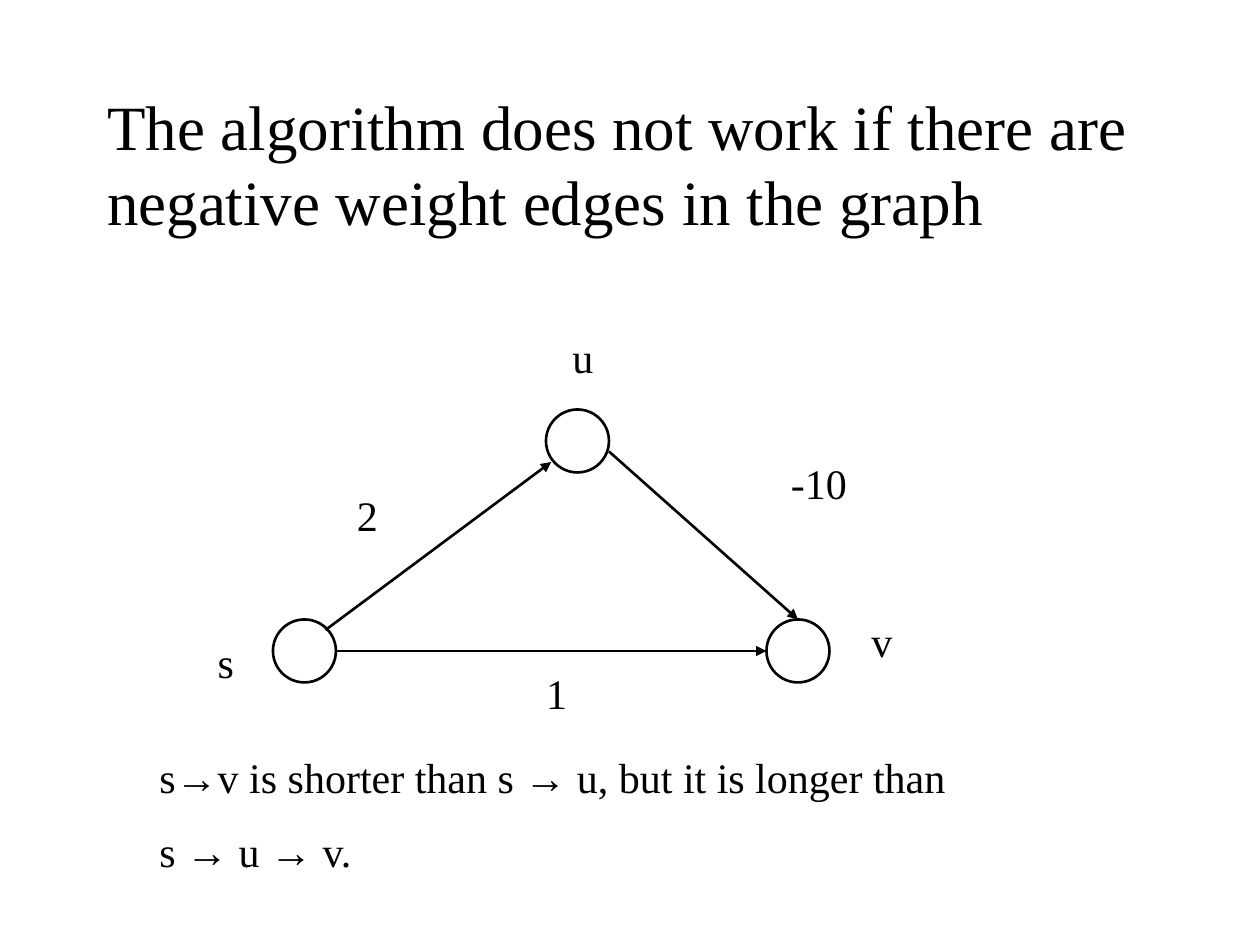
from lxml import etree
from pptx import Presentation
from pptx.dml.color import RGBColor
from pptx.enum.shapes import MSO_CONNECTOR, MSO_SHAPE
from pptx.enum.text import MSO_ANCHOR, MSO_AUTO_SIZE, PP_ALIGN
from pptx.oxml.ns import qn
from pptx.util import Pt

BLACK = RGBColor(0, 0, 0)
WHITE = RGBColor(255, 255, 255)
FONT = "Times New Roman"
OVAL = MSO_SHAPE.OVAL
STRAIGHT = MSO_CONNECTOR.STRAIGHT
MIDDLE = MSO_ANCHOR.MIDDLE
NO_AUTOFIT = MSO_AUTO_SIZE.NONE
GROW = MSO_AUTO_SIZE.SHAPE_TO_FIT_TEXT
LEFT = PP_ALIGN.LEFT
CENTER = PP_ALIGN.CENTER

TITLE = "The algorithm does not work if there are negative weight edges in the graph"
CONCLUSION = "s→v is shorter than s → u, but it is longer than\ns → u → v."
NODE_SIZE = 36
LINE_WIDTH = 1.5
LABELS = [
    ("1", 288, 378, 60),
    ("2", 192, 276, 36),
    ("-10", 408, 258, 120),
    ("s", 108, 360, 42),
    ("v", 486, 348, 36),
    ("u", 312, 186, 42),
]


def format_text(text_frame, size, alignment):
    """Apply the slide's font and an alignment to every paragraph."""
    for paragraph in text_frame.paragraphs:
        paragraph.alignment = alignment
        for run in paragraph.runs:
            run.font.name = FONT
            run.font.size = Pt(size)
            run.font.color.rgb = BLACK


def set_title(slide):
    """Fill and place the title placeholder."""
    title = slide.shapes.title
    title.left, title.top, title.width, title.height = Pt(54), Pt(48), Pt(612), Pt(90)
    title.text_frame.text = TITLE
    title.text_frame.auto_size = NO_AUTOFIT
    title.text_frame.vertical_anchor = MIDDLE
    format_text(title.text_frame, 36, LEFT)


def add_node(slide, left, top):
    """Add one graph node and return it."""
    node = slide.shapes.add_shape(OVAL, Pt(left), Pt(top), Pt(NODE_SIZE), Pt(NODE_SIZE))
    node.shadow.inherit = False
    node.fill.solid()
    node.fill.fore_color.rgb = WHITE
    node.line.color.rgb = BLACK
    node.line.width = Pt(LINE_WIDTH)
    return node


def add_edge(slide, start, end):
    """Add a directed edge between two points and return it."""
    edge = slide.shapes.add_connector(STRAIGHT, *(Pt(value) for value in start + end))
    edge.line.color.rgb = BLACK
    edge.line.width = Pt(LINE_WIDTH)
    properties = edge._element.spPr
    etree.SubElement(properties.find(qn("a:ln")), qn("a:tailEnd"), type="triangle")
    etree.SubElement(properties, qn("a:effectLst"))
    return edge


def add_text(slide, text, left, top, width, height=36, alignment=CENTER):
    """Add a wrapping text box and return its text frame."""
    box = slide.shapes.add_textbox(Pt(left), Pt(top), Pt(width), Pt(height))
    text_frame = box.text_frame
    text_frame.word_wrap = True
    text_frame.auto_size = GROW
    text_frame.text = text
    format_text(text_frame, 24, alignment)
    return text_frame


def main():
    """Build the slide and save it."""
    presentation = Presentation()
    presentation.slide_width, presentation.slide_height = Pt(720), Pt(540)
    slide = presentation.slides.add_slide(presentation.slide_layouts[5])
    set_title(slide)

    add_node(slide, 156, 354)
    add_node(slide, 312, 234)
    node_v = add_node(slide, 438, 354)

    add_edge(slide, (186, 360), (315, 264))
    add_edge(slide, (192, 372), (438, 372))
    add_edge(slide, (348, 258), (456, 354)).end_connect(node_v, 0)

    for label in LABELS:
        add_text(slide, *label)
    conclusion = add_text(slide, CONCLUSION, 84, 426, 570, 80, LEFT)
    conclusion.paragraphs[1].space_before = Pt(13.5)

    presentation.save("out.pptx")


if __name__ == "__main__":
    main()
